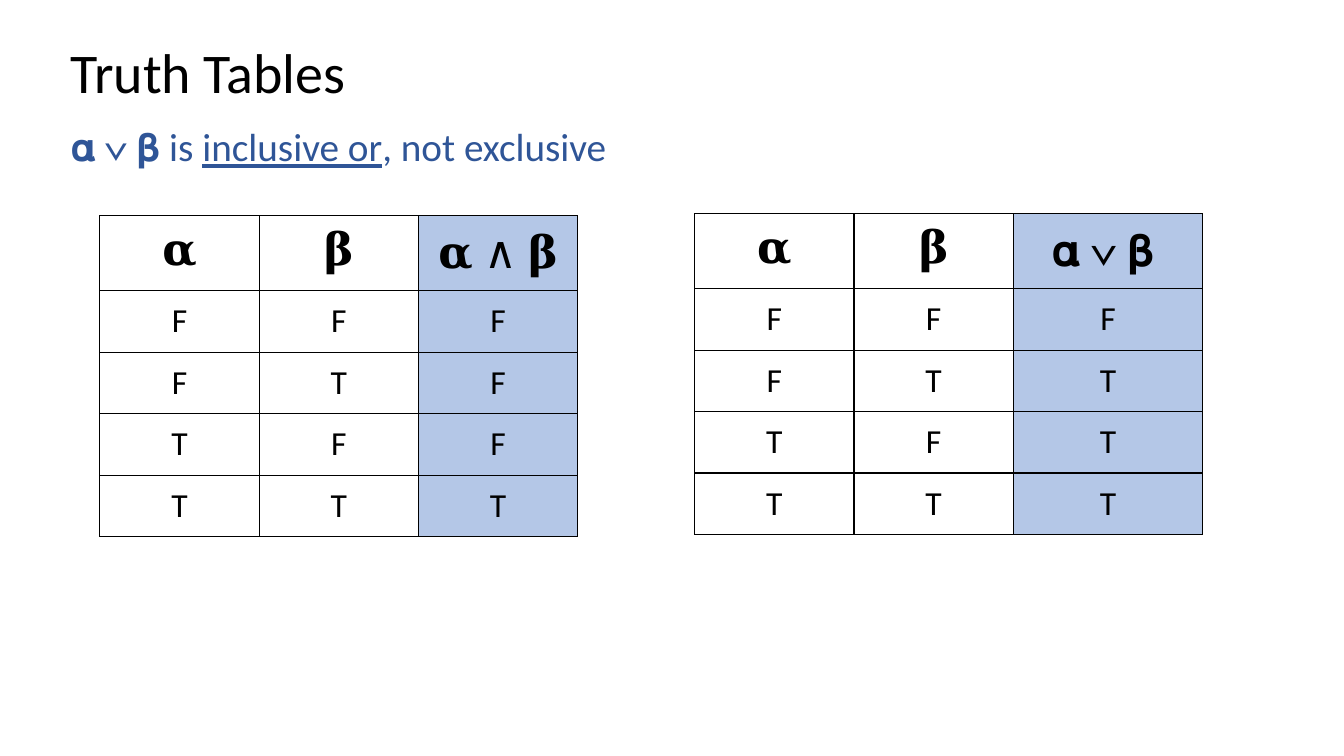
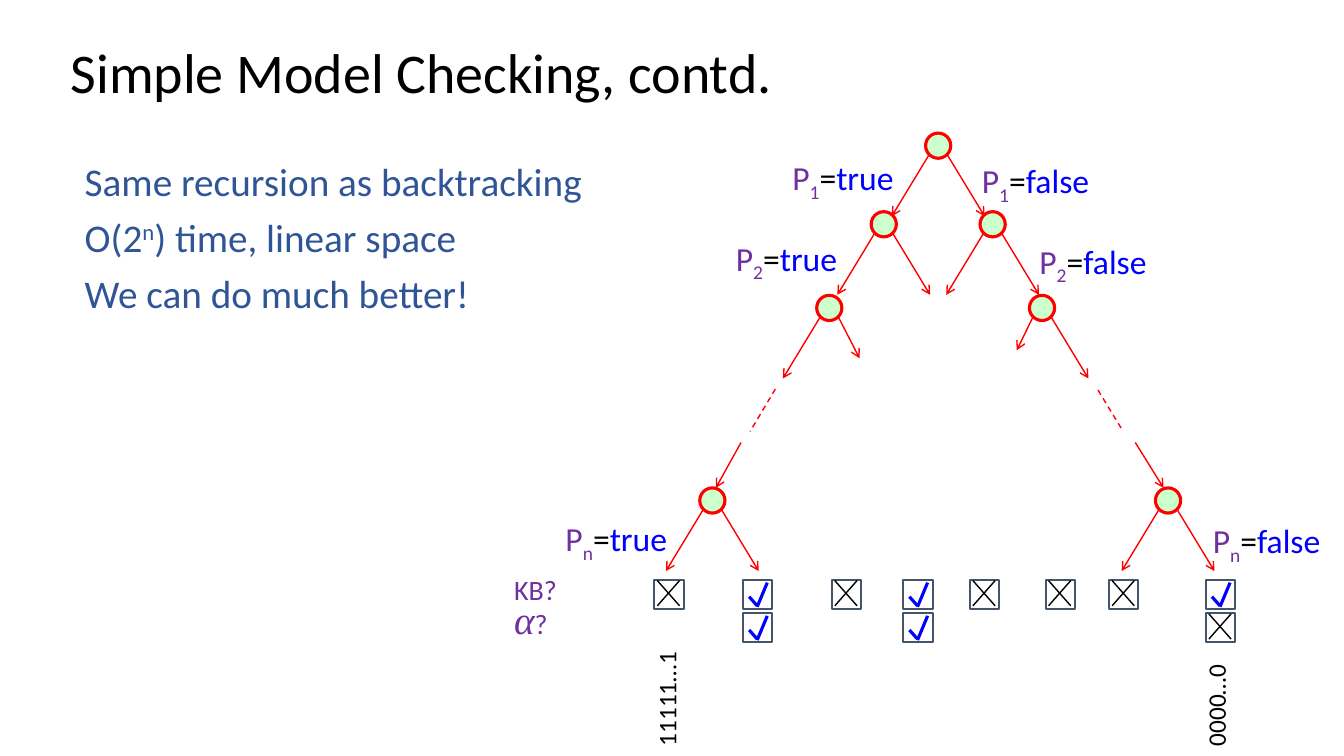
import dataclasses
import itertools

import lxml.etree
import pptx
import pptx.dml.color
import pptx.enum.dml
import pptx.enum.shapes
import pptx.enum.text
import pptx.oxml.ns
import pptx.util

Inches = pptx.util.Inches
qn = pptx.oxml.ns.qn
ALIGN = pptx.enum.text.PP_ALIGN
ANCHOR = pptx.enum.text.MSO_ANCHOR
SIZING = pptx.enum.text.MSO_AUTO_SIZE
SHAPE = pptx.enum.shapes.MSO_SHAPE
STRAIGHT = pptx.enum.shapes.MSO_CONNECTOR.STRAIGHT
DASH = pptx.enum.dml.MSO_LINE.DASH


@dataclasses.dataclass(frozen=True)
class Theme:
    sans: str = "Calibri"
    serif: str = "Times New Roman"
    black: str = "000000"
    blue: str = "2F5597"
    pale: str = "B4C7E7"
    red: str = "FF0000"
    mint: str = "CCFFCC"
    plum: str = "7030A0"
    bright: str = "0000FF"
    slate: str = "44546A"
    head: int = 40
    math: int = 32
    body: int = 28
    label: int = 24
    query: int = 20
    small: int = 18
    thin: float = 1
    edge: float = 1.5
    thick: float = 2.25


THEME = Theme()
TITLE = dict(size=THEME.head, color=THEME.black)
BODY = dict(size=THEME.body, color=THEME.blue)
CELL = dict(size=THEME.label, color=THEME.black)
GREEK = dict(size=THEME.math, color=THEME.black, name=THEME.serif)
LABEL = dict(size=THEME.label, color=THEME.plum)
QUERY = dict(size=THEME.query, color=THEME.plum)
CODE = dict(size=THEME.small, color=THEME.black)

NODE = 0.25
BOX = 0.29
ROWS = (5.75, 6.08)
MARKS = {
    "×": (((0.03, 0.01), (0.25, 0.26)), ((0.25, 0.01), (0.03, 0.26))),
    "✓": (((0.06, 0.17), (0.14, 0.26)), ((0.14, 0.27), (0.24, 0.03))),
}


def paint(code):
    return pptx.dml.color.RGBColor.from_string(code)


def assign(target, values):
    for name, value in values.items():
        setattr(target, name, value)


def write(para, runs, base):
    for text, extra in runs:
        style = dict(name=THEME.sans) | base | extra
        color, shift = style.pop("color"), style.pop("shift", None)
        style["size"] = pptx.util.Pt(style["size"])
        run = para.add_run()
        run.text = text
        assign(run.font, style)
        run.font.color.rgb = paint(color)
        if shift:
            run._r.get_or_add_rPr().set("baseline", str(shift * 1000))


def place(shape, box):
    assign(shape, dict(zip(("left", "top", "width", "height"), map(Inches, box))))


def fill_holder(shape, box, lines, style, anchor, space):
    place(shape, box)
    frame = shape.text_frame
    assign(frame, dict(word_wrap=True, auto_size=SIZING.NONE, vertical_anchor=anchor))
    for index, runs in enumerate(lines):
        para = frame.add_paragraph() if index else frame.paragraphs[0]
        assign(para, dict(alignment=ALIGN.LEFT, line_spacing=0.9,
                          space_before=pptx.util.Pt(space)))
        props = para._p.get_or_add_pPr()
        for name in ("marL", "indent"):
            props.set(name, "0")
        lxml.etree.SubElement(props, qn("a:buNone"))
        write(para, runs, style)


def add_slide(deck, title, box, lines):
    slide = deck.slides.add_slide(deck.slide_layouts[1])
    fill_holder(slide.shapes.title, (0.6, 0.4, 11.5, 0.69), [[(title, {})]],
                TITLE, ANCHOR.MIDDLE, 0)
    fill_holder(slide.placeholders[1], box, lines, BODY, ANCHOR.TOP, 10)
    return slide.shapes


def add_text(shapes, box, runs, style, turn=0):
    shape = shapes.add_textbox(*map(Inches, box))
    shape.rotation = turn
    assign(shape.text_frame, dict(word_wrap=False, auto_size=SIZING.SHAPE_TO_FIT_TEXT))
    write(shape.text_frame.paragraphs[0], runs, style)


def add_border(cell):
    props = cell._tc.get_or_add_tcPr()
    for side in ("a:lnL", "a:lnR", "a:lnT", "a:lnB"):
        line = lxml.etree.SubElement(props, qn(side), w=str(pptx.util.Pt(THEME.thin)))
        solid = lxml.etree.SubElement(line, qn("a:solidFill"))
        lxml.etree.SubElement(solid, qn("a:srgbClr"), val=THEME.black)


def add_truth(shapes, left, top, widths, head, rule):
    heights = [0.74] + [0.61] * 4
    frame = shapes.add_table(5, 3, *map(Inches, (left, top, sum(widths), sum(heights))))
    table = frame.table
    assign(table, dict(first_row=False, horz_banding=False))
    for column, width in zip(table.columns, widths):
        column.width = Inches(width)
    rows = [[[("𝛂", {})], [("𝛃", {})], head]]
    for pair in itertools.product("FT", repeat=2):
        rows.append([[(value, {})] for value in (*pair, rule(pair))])
    for r, row in enumerate(rows):
        table.rows[r].height = Inches(heights[r])
        for c, runs in enumerate(row):
            cell = table.cell(r, c)
            sides = ("left", "right", "top", "bottom")
            assign(cell, {f"margin_{side}": Inches(0.1) for side in sides})
            para = cell.text_frame.paragraphs[0]
            para.alignment = ALIGN.CENTER
            if r == 0:
                para.space_before = pptx.util.Pt(6.4)
            write(para, runs, CELL if r else GREEK)
            add_border(cell)
            if c == 2:
                cell.fill.solid()
                cell.fill.fore_color.rgb = paint(THEME.pale)
            else:
                cell.fill.background()


def add_line(shapes, start, end, color, width, arrow=False, dash=None):
    link = shapes.add_connector(STRAIGHT, *map(Inches, (*start, *end)))
    lxml.etree.SubElement(link._element.spPr, qn("a:effectLst"))
    assign(link.line, dict(width=pptx.util.Pt(width), dash_style=dash))
    link.line.color.rgb = paint(color)
    if arrow:
        lxml.etree.SubElement(link.line._get_or_add_ln(), qn("a:tailEnd"), type="arrow")


def add_shape(shapes, kind, left, top, size, line, width, fill=None):
    shape = shapes.add_shape(kind, *map(Inches, (left, top, size, size)))
    shape.shadow.inherit = False
    shape.line.color.rgb = paint(line)
    shape.line.width = pptx.util.Pt(width)
    if fill:
        shape.fill.solid()
        shape.fill.fore_color.rgb = paint(fill)
    else:
        shape.fill.background()


def add_node(shapes, left, top, *drops):
    add_shape(shapes, SHAPE.OVAL, left, top, NODE, THEME.red, THEME.thick, THEME.mint)
    for across, down in drops:
        x = left + NODE / 2 + (0.09 if across > 0 else -0.09)
        y = top + NODE / 2 + 0.09
        add_line(shapes, (x, y), (x + across, y + down), THEME.red, THEME.thin, True)


def add_mark(shapes, left, top, mark):
    group = shapes.add_group_shape().shapes
    add_shape(group, SHAPE.RECTANGLE, left, top, BOX, THEME.slate, THEME.edge)
    color, width = ((THEME.bright, THEME.thick) if mark == "✓"
                    else (THEME.black, THEME.thin))
    for ends in MARKS[mark]:
        start, end = ((left + x, top + y) for x, y in ends)
        add_line(group, start, end, color, width)


def add_tree(shapes):
    group = shapes.add_group_shape().shapes
    west, east = (-0.37, 0.61), (0.37, 0.61)
    for left, top, *drops in (
        (9.18, 1.32, west, east),
        (8.64, 2.1, west, east),
        (9.72, 2.1, west, east),
        (8.1, 2.93, west, (0.21, 0.41)),
        (10.21, 2.93, (-0.16, 0.33), east),
        (6.94, 4.84, west, east),
        (11.46, 4.84, west, east),
    ):
        add_node(group, left, top, *drops)
    for start, end in (((7.35, 4.39), (7.1, 4.84)), ((11.26, 4.39), (11.54, 4.84))):
        add_line(group, start, end, THEME.red, THEME.thin, True)
    for start, end in (((7.69, 3.86), (7.44, 4.28)), ((10.89, 3.87), (11.14, 4.28))):
        add_line(group, start, end, THEME.red, THEME.thin, dash=DASH)
    for left, top, index, value in (
        (7.76, 1.51, "1", "true"), (9.64, 1.54, "1", "false"),
        (7.2, 2.31, "2", "true"), (10.21, 2.34, "2", "false"),
        (5.51, 5.09, "n", "true"), (11.93, 5.11, "n", "false"),
    ):
        runs = [("P", {}), (index, dict(shift=-25)), ("=", dict(color=THEME.black)),
                (value, dict(color=THEME.bright))]
        width = 1.23 if value == "true" else 1.29
        add_text(group, (left, top, width, 0.5), runs, LABEL)


def add_models(shapes):
    columns = (6.49, 7.37, 8.25, 8.96, 9.62, 10.37, 11, 11.96)
    for left, marks in zip(columns, ("×", "✓✓", "×", "✓✓", "×", "×", "×", "✓×")):
        for top, mark in zip(ROWS, marks):
            add_mark(shapes, left, top, mark)
    add_text(shapes, (6, 6.69, 1.22, 0.4), [("11111…1", {})], CODE, 270)
    add_text(shapes, (11.48, 6.72, 1.16, 0.4), [("0000…0", {})], CODE, 270)
    add_text(shapes, (5, 5.63, 0.63, 0.44), [("KB?", {})], QUERY)
    alpha = dict(name=THEME.serif, size=THEME.body, italic=True)
    add_text(shapes, (5, 5.86, 0.54, 0.57), [("α", alpha), ("?", {})], QUERY)


def main():
    deck = pptx.Presentation()
    assign(deck, dict(slide_width=Inches(13.33), slide_height=Inches(7.5)))

    truth = add_slide(deck, "Truth Tables", (0.6, 1.22, 11.5, 2.23), [
        [("𝛂 ∨ 𝛃 is ", {}), ("inclusive or", dict(underline=True)),
         (", not exclusive", {})]])
    sans = dict(name=THEME.sans)
    add_truth(truth, 0.99, 2.14, (1.58, 1.58, 1.58),
              [("𝛂 ", {}), ("∧", sans), (" 𝛃", {})], min)
    add_truth(truth, 6.89, 2.12, (1.58, 1.58, 1.88), [("𝛂 ∨ 𝛃 ", sans)], max)

    check = add_slide(deck, "Simple Model Checking, contd.", (0.74, 1.56, 6.75, 2.39), [
        [("Same recursion as backtracking", {})],
        [("O(2", {}), ("n", dict(shift=30)), (") time, linear space", {})],
        [("We can do much better!", {})]])
    add_tree(check)
    add_models(check)
    deck.save("out.pptx")


if __name__ == "__main__":
    main()
